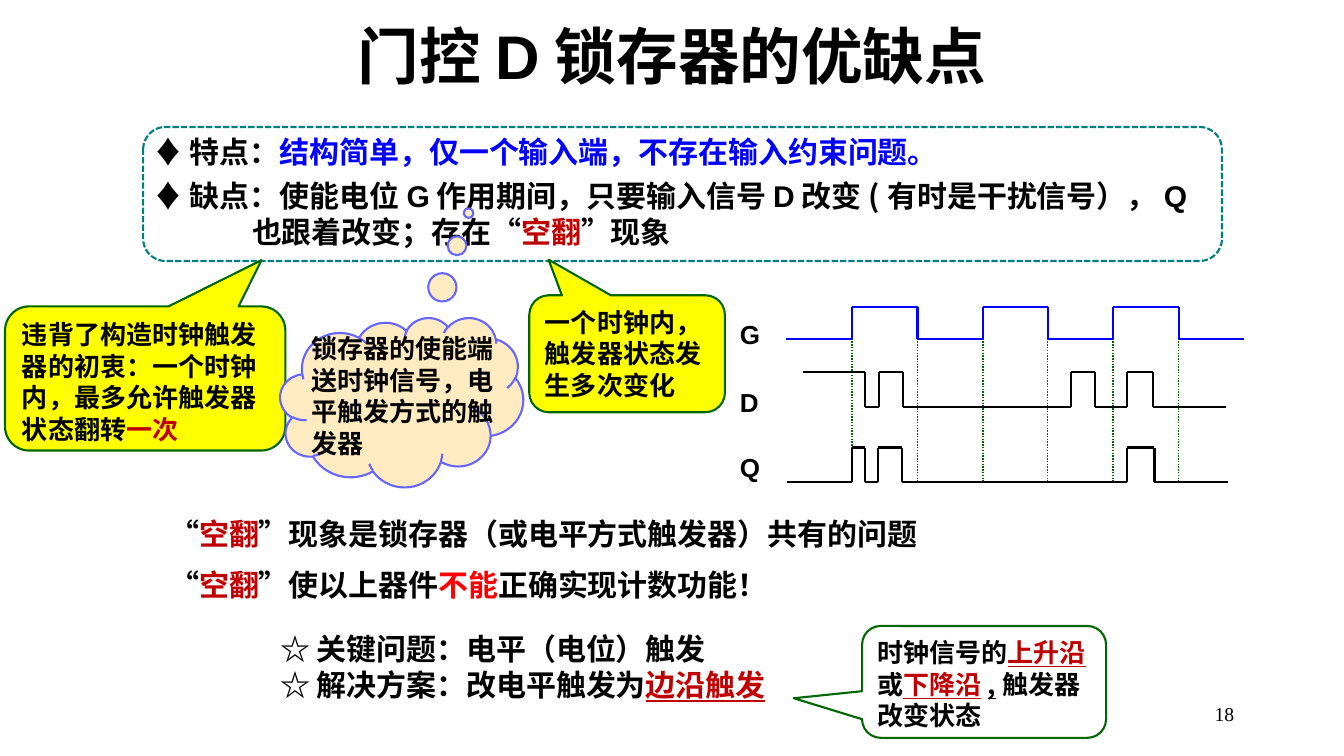
from itertools import pairwise

from lxml import etree
from pptx import Presentation
from pptx.dml.color import RGBColor
from pptx.enum import dml, lang, shapes, text
from pptx.oxml import ns
from pptx.util import Inches, Pt

BLACK = RGBColor(0x00, 0x00, 0x00)
BLUE = RGBColor(0x00, 0x00, 0xFF)
RED = RGBColor(0xFF, 0x00, 0x00)
DARK_RED = RGBColor(0xC0, 0x00, 0x00)
GREEN = RGBColor(0x00, 0x66, 0x00)
TEAL = RGBColor(0x00, 0x7F, 0x80)
YELLOW = RGBColor(0xFF, 0xFF, 0x00)
CREAM = RGBColor(0xFF, 0xEB, 0xC2)
VIOLET = RGBColor(0x66, 0x66, 0xFF)
CHINESE, LATIN = "Noto Sans CJK SC", "Arial"
LARGE, SMALL = 21.4, 18.6
LINE_PITCH = {LARGE: 25.5, SMALL: 22.5}


def write(shape, size, paragraphs, gap=0):
    """Fill a shape with paragraphs of (text, colour, underlined) runs, gap points apart."""
    frame = shape.text_frame
    frame.word_wrap = True
    frame.auto_size = text.MSO_AUTO_SIZE.NONE
    for number, pieces in enumerate(paragraphs):
        paragraph = frame.paragraphs[0] if number == 0 else frame.add_paragraph()
        paragraph.space_before = Pt(gap if number else 0)
        if size in LINE_PITCH:
            paragraph.line_spacing = Pt(LINE_PITCH[size])
        paragraph.font.size = Pt(size)
        paragraph.font.bold = True
        for words, colour, underlined in pieces:
            run = paragraph.add_run()
            run.text = words
            font = run.font
            font.language_id = lang.MSO_LANGUAGE_ID.SIMPLIFIED_CHINESE
            font.color.rgb = colour
            if underlined:
                font.underline = True
            font.name = LATIN if words in ("G", "D", "Q") else CHINESE
            east_asian = etree.SubElement(font._element, ns.qn("a:ea"))
            east_asian.set("typeface", CHINESE)


def draw_line(x1, y1, x2, y2, colour, width):
    line = slide.shapes.add_connector(
        shapes.MSO_CONNECTOR.STRAIGHT, Inches(x1), Inches(y1), Inches(x2), Inches(y2))
    line.line.color.rgb = colour
    line.line.width = Pt(width)
    etree.SubElement(line._element.spPr, ns.qn("a:effectLst"))
    return line


presentation = Presentation()
presentation.slide_width, presentation.slide_height = Inches(13.33), Inches(7.5)
slide = presentation.slides.add_slide(presentation.slide_layouts[1])

# Title and list
title, features = slide.shapes.title, slide.placeholders[1]
for placeholder, box in ((title, (1, 0.26, 11.33, 0.57)), (features, (1.42, 1.28, 10.71, 1.2))):
    placeholder.left, placeholder.top, placeholder.width, placeholder.height = map(Inches, box)
title.text_frame.vertical_anchor = text.MSO_ANCHOR.MIDDLE
write(title, 44, [[("门控", BLACK, False), ("D", BLACK, False), ("锁存器的优缺点", BLACK, False)]])
write(features, LARGE, [
    [("♦ 特点：", BLACK, False), ("结构简单，仅一个输入端，不存在输入约束问题。", BLUE, False)],
    [("♦ 缺点：使能电位", BLACK, False), ("G", BLACK, False),
     ("作用期间，只要输入信号", BLACK, False), ("D", BLACK, False),
     ("改变(有时是干扰信号），", BLACK, False), ("Q", BLACK, False),
     ("也跟着改变；存在“", BLACK, False), ("空翻", DARK_RED, False), ("”现象", BLACK, False)],
], gap=6)
for paragraph, indent in zip(features.text_frame.paragraphs, (2.4, 0.98)):
    properties = paragraph._p.get_or_add_pPr()
    properties.set("marL", str(Inches(indent)))
    properties.set("indent", str(-Inches(indent)))
    properties.insert_element_before(
        properties.makeelement(ns.qn("a:buNone")), "a:tabLst", "a:defRPr", "a:extLst")

# Timing diagram
EDGES = [8.45, 9.1, 9.75, 10.39, 11.04, 11.69]
for x in EDGES:
    draw_line(x, 3.25, x, 4.77, GREEN, 1).line.dash_style = dml.MSO_LINE.ROUND_DOT
signals = [  # name, label top, colour, first and second level, start, toggles and end
    ("G", 3.11, BLUE, (3.36, 3.05), [7.8, *EDGES, 12.34]),
    ("D", 3.78, BLACK, (3.69, 4.04), [7.96, 8.58, 8.72, 8.96, 10.62, 10.86, 11.18, 11.44, 12.16]),
    ("Q", 4.43, BLACK, (4.78, 4.44), [7.81, 8.45, 8.58, 8.71, 8.95, 11.18, 11.45, 12.18]),
]
for name, label_top, colour, levels, times in signals:
    label = slide.shapes.add_textbox(Inches(7.24), Inches(label_top), Inches(1.11), Inches(0.41))
    write(label, SMALL, [[(name, BLACK, False)]])
    for number, (start, end) in enumerate(pairwise(times)):
        level = levels[number % 2]
        draw_line(start, level, end, level, colour, 1.5)
        if number:
            draw_line(start, levels[0], start, levels[1], colour, 1.5)

# Frame and callouts
CALLOUT = shapes.MSO_SHAPE.ROUNDED_RECTANGULAR_CALLOUT
outlined_shapes = [  # preset, box, adjustments, fill, line, runs
    (shapes.MSO_SHAPE.ROUNDED_RECTANGLE, (1.42, 1.26, 10.7, 1.33), (0.167,), None, TEAL, []),
    (CALLOUT, (5.25, 2.93, 1.94, 1.16), (-0.401, -0.805, 0.167), YELLOW, GREEN,
     [("一个时钟内，触发器状态发生多次变化", BLACK, False)]),
    (CALLOUT, (0.05, 3.04, 2.78, 1.43), (0.415, -0.821, 0.167), YELLOW, GREEN,
     [("违背了构造时钟触发器的初衷：一个时钟内，最多允许触发器状态翻转", BLACK, False),
      ("一次", DARK_RED, False)]),
    (CALLOUT, (8.55, 6.21, 2.42, 1.11), (-0.78, 0.146, 0.167), None, GREEN,
     [("时钟信号的", BLACK, False), ("上升沿", DARK_RED, True), ("或", BLACK, False),
      ("下降沿", DARK_RED, True), (",", BLACK, True), ("触发器改变状态", BLACK, False)]),
    (shapes.MSO_SHAPE.CLOUD_CALLOUT, (2.78, 3.15, 2.41, 1.68), (0.275, -1.117), CREAM, VIOLET, []),
]
for preset, box, adjustments, fill, line_colour, runs in outlined_shapes:
    shape = slide.shapes.add_shape(preset, *map(Inches, box))
    shape.shadow.inherit = False
    for number, value in enumerate(adjustments):
        shape.adjustments[number] = value
    if fill is None:
        shape.fill.background()
    else:
        shape.fill.solid()
        shape.fill.fore_color.rgb = fill
    shape.line.color.rgb = line_colour
    shape.line.width = Pt(1.5)
    if line_colour == TEAL:
        shape.line.dash_style = dml.MSO_LINE.SQUARE_DOT
        shape.line._ln.find(ns.qn("a:prstDash")).set("val", "sysDash")
    if runs:
        shape.text_frame.vertical_anchor = text.MSO_ANCHOR.TOP
        write(shape, SMALL, [runs])
        shape.text_frame.paragraphs[0].alignment = text.PP_ALIGN.LEFT

# Free-standing text
notes = [  # box, size, gap, paragraphs
    ((2.99, 3.25, 2.1, 1.36), SMALL, 0,
     [[("锁存器的使能端送时钟信号，电平触发方式的触发器", BLACK, False)]]),
    ((1.58, 5.07, 8.12, 1), LARGE, 11,
     [[("“", BLACK, False), ("空翻", DARK_RED, False),
       ("”现象是锁存器（或电平方式触发器）共有的问题", BLACK, False)],
      [("“", BLACK, False), ("空翻", DARK_RED, False), ("”使以上器件", BLACK, False),
       ("不能", RED, False), ("正确实现计数功能！", BLACK, False)]]),
    ((2.68, 6.21, 6.18, 0.82), LARGE, 0,
     [[("☆ 关键问题：电平（电位）触发", BLACK, False)],
      [("☆ 解决方案：改电平触发为", BLACK, False), ("边沿触发", DARK_RED, True)]]),
]
for box, size, gap, paragraphs in notes:
    write(slide.shapes.add_textbox(*map(Inches, box)), size, paragraphs, gap)

page_number = slide.shapes.add_textbox(Inches(9.56), Inches(6.83), Inches(2.78), Inches(0.5))
page_number.text_frame.word_wrap = True
page_number.text_frame.vertical_anchor = text.MSO_ANCHOR.MIDDLE
paragraph = page_number.text_frame.paragraphs[0]
paragraph.text = "18"
paragraph.alignment = text.PP_ALIGN.RIGHT
paragraph.font.size = Pt(14)
paragraph.font.name = "Times New Roman"
paragraph.font.color.rgb = BLACK

presentation.save("out.pptx")
